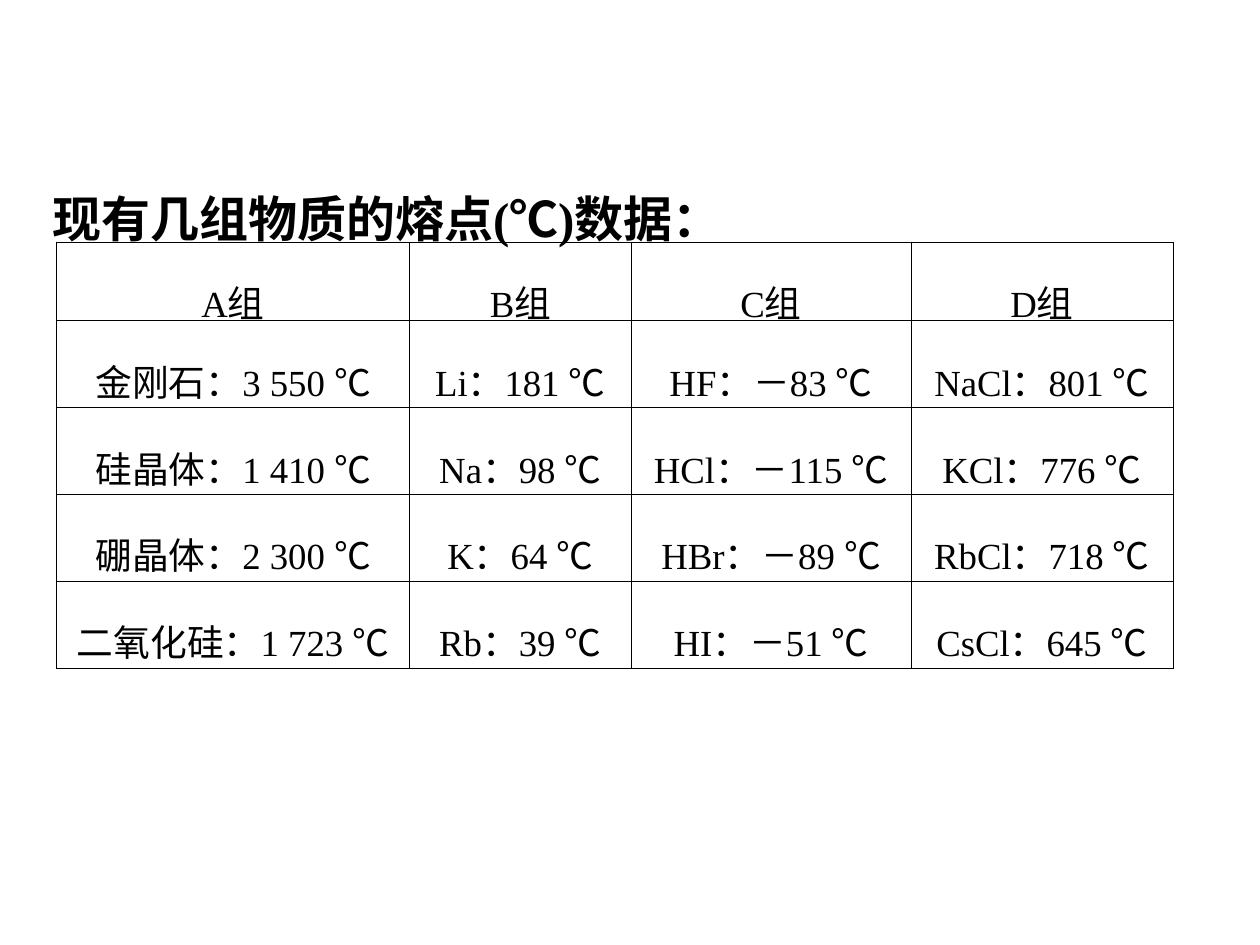
from dataclasses import dataclass

import pptx
import pptx.dml.color
import pptx.enum.text
import pptx.oxml
import pptx.oxml.ns
import pptx.util
from pptx.util import Inches

COLORS = {"ink": "000000"}
TEXT_FONT = "Times New Roman"
SYMBOL_FONT = "Noto Sans CJK SC"
DEGREE = "℃"
ALIGN = pptx.enum.text.PP_ALIGN


@dataclass(frozen=True)
class Group:
    name: str
    width: float
    melting_points: tuple[str, ...]


GROUPS = (
    Group("A组", 2.8, ("金刚石：3 550", "硅晶体：1 410", "硼晶体：2 300", "二氧化硅：1 723")),
    Group("B组", 1.76, ("Li：181", "Na：98", "K：64", "Rb：39")),
    Group("C组", 2.22, ("HF：－83", "HCl：－115", "HBr：－89", "HI：－51")),
    Group("D组", 2.08, ("NaCl：801", "KCl：776", "RbCl：718", "CsCl：645")),
)
ROW_HEIGHTS = (0.53, 0.69, 0.69, 0.69, 0.69)


def write_line(paragraph, text: str, size: float, align: ALIGN, bold: bool = False) -> None:
    paragraph.alignment = align
    paragraph.line_spacing = 1.5
    paragraph.font.size = pptx.util.Pt(size)
    paragraph.font.bold = bold
    paragraph.font.color.rgb = pptx.dml.color.RGBColor.from_string(COLORS["ink"])
    before, degree, after = text.partition(DEGREE)
    for part in filter(None, (before, degree, after)):
        run = paragraph.add_run()
        run.text = part
        run.font.name = SYMBOL_FONT if part == DEGREE else TEXT_FONT


def add_borders(cell, width: float) -> None:
    properties = cell._tc.get_or_add_tcPr()
    for position, side in enumerate(("lnL", "lnR", "lnT", "lnB")):
        border = pptx.oxml.parse_xml(
            f'<a:{side} {pptx.oxml.ns.nsdecls("a")} w="{pptx.util.Pt(width)}">'
            f'<a:solidFill><a:srgbClr val="{COLORS["ink"]}"/></a:solidFill></a:{side}>'
        )
        properties.insert(position, border)


def fill_cell(cell, text: str) -> None:
    cell.vertical_anchor = pptx.enum.text.MSO_ANCHOR.MIDDLE
    cell.margin_left = cell.margin_right = Inches(0.03)
    cell.margin_top = cell.margin_bottom = Inches(0.05)
    cell.fill.background()
    add_borders(cell, 0.45)
    write_line(cell.text_frame.paragraphs[0], text, 21, ALIGN.CENTER)


def add_title(slide) -> None:
    title = slide.shapes.add_textbox(Inches(0.32), Inches(1.21), Inches(9.36), Inches(0.8))
    title.text_frame.word_wrap = True
    title.text_frame.auto_size = pptx.enum.text.MSO_AUTO_SIZE.SHAPE_TO_FIT_TEXT
    write_line(title.text_frame.paragraphs[0], "现有几组物质的熔点(℃)数据：", 28, ALIGN.JUSTIFY, True)


def add_melting_points(slide) -> None:
    table = slide.shapes.add_table(
        len(ROW_HEIGHTS), len(GROUPS), Inches(0.45), Inches(1.92),
        Inches(sum(group.width for group in GROUPS)), Inches(sum(ROW_HEIGHTS)),
    ).table
    table.first_row = table.horz_banding = False
    for row, height in zip(table.rows, ROW_HEIGHTS):
        row.height = Inches(height)
    for column, group in enumerate(GROUPS):
        table.columns[column].width = Inches(group.width)
        entries = (group.name, *(f"{point} {DEGREE}" for point in group.melting_points))
        for row, entry in enumerate(entries):
            fill_cell(table.cell(row, column), entry)


def main() -> None:
    presentation = pptx.Presentation()
    presentation.slide_width = Inches(10)
    presentation.slide_height = Inches(7.5)
    slide = presentation.slides.add_slide(presentation.slide_layouts[6])
    add_title(slide)
    add_melting_points(slide)
    presentation.save("out.pptx")


if __name__ == "__main__":
    main()
